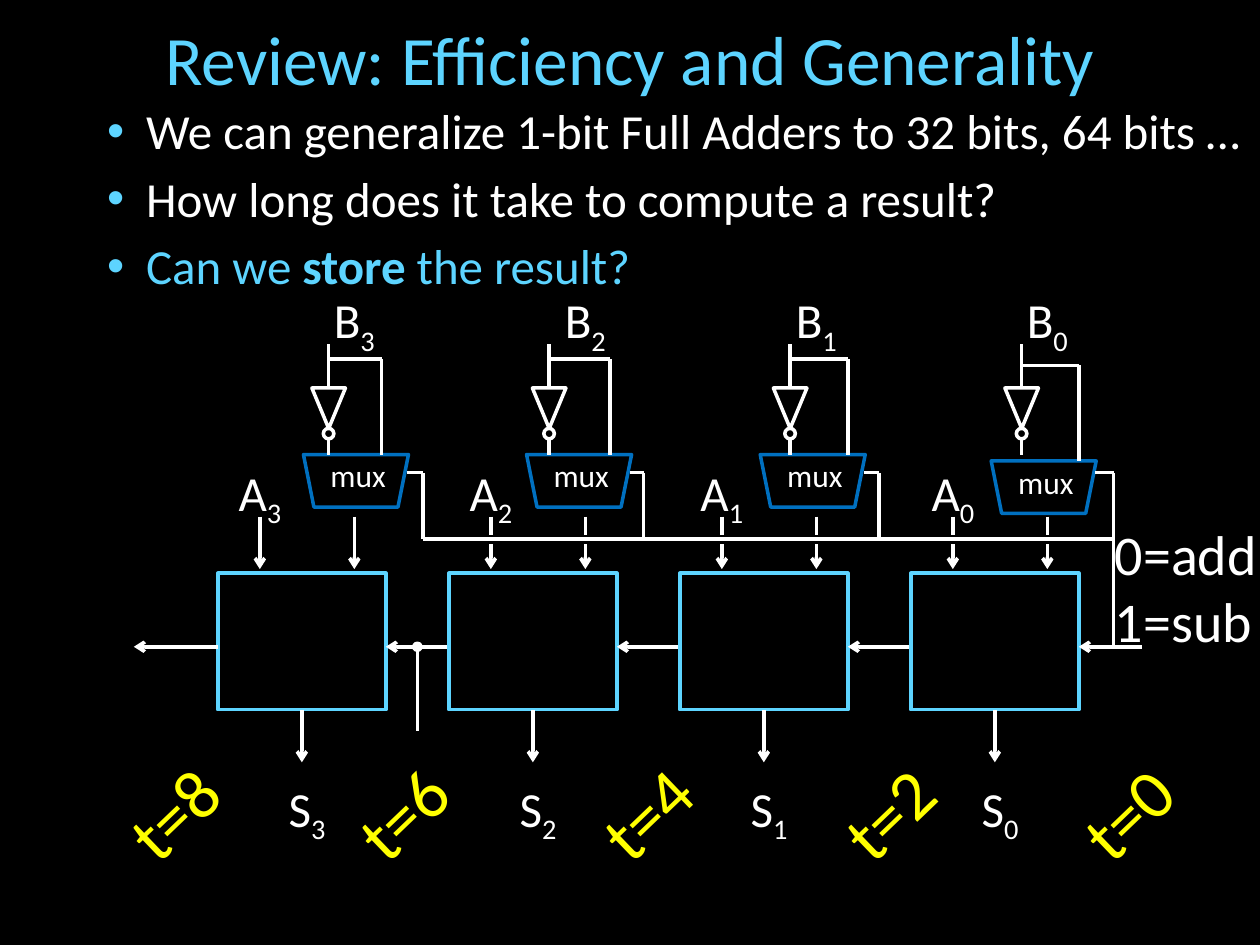
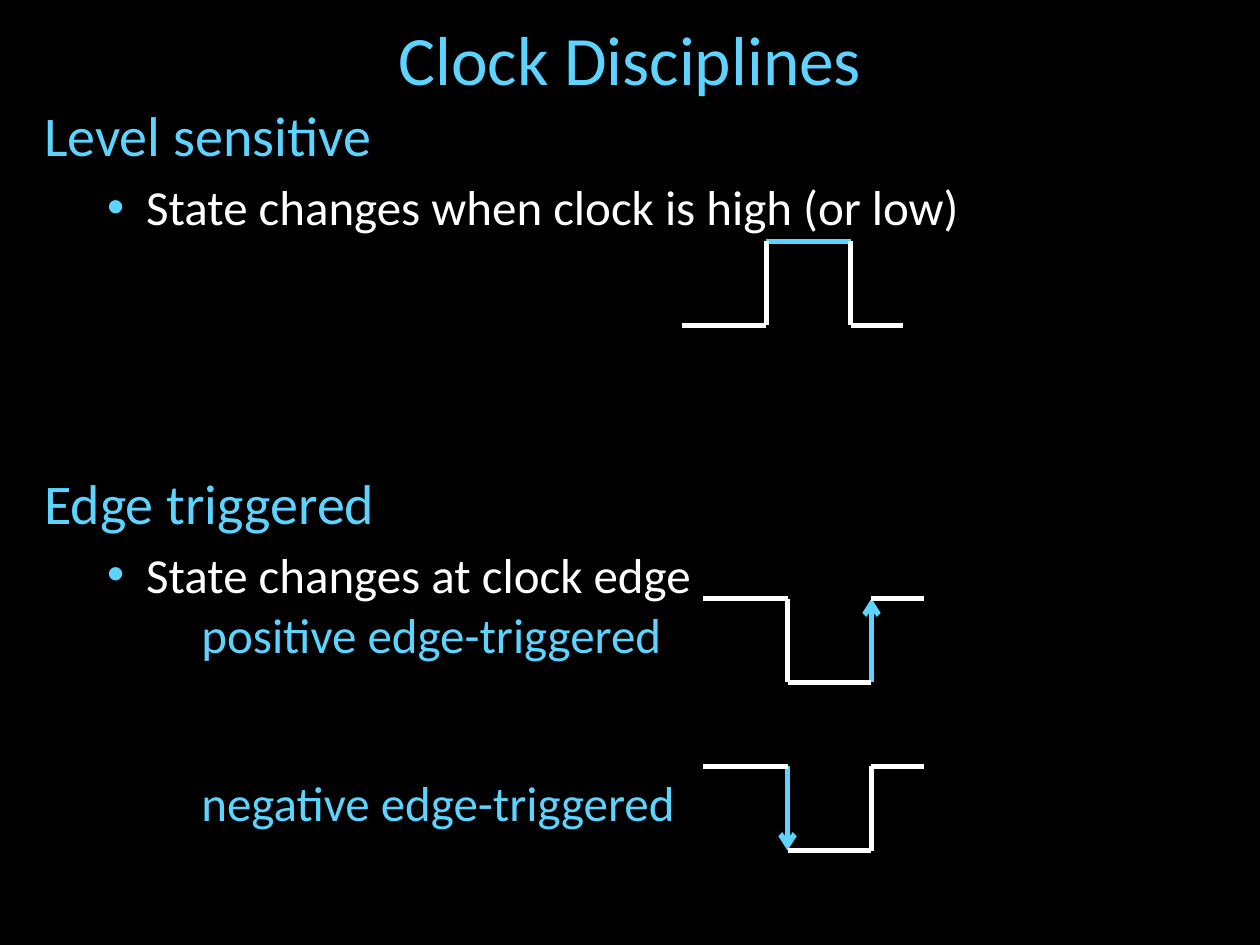
from collections import namedtuple

from lxml import etree
from pptx import Presentation
from pptx import util as u
from pptx.dml.color import RGBColor
from pptx.enum import shapes, text
from pptx.oxml import ns

SKY = RGBColor(0x5D, 0xD4, 0xFF)
BLUE = RGBColor(0x00, 0x70, 0xC0)
WHITE = RGBColor(0xFF, 0xFF, 0xFF)
YELLOW = RGBColor(0xFF, 0xFF, 0x00)
BLACK = RGBColor(0x00, 0x00, 0x00)
FONT = "Calibri"

WIDTH, HEIGHT = u.Inches(10), u.Inches(7.5)
COLUMNS = 120
CELL = WIDTH / COLUMNS

Box = namedtuple("Box", "left top width height")
BitLayout = namedtuple("BitLayout", "inverter bypass mux mux_top tap")

TITLE_BOX = Box(3, 2, 114, 7)
ADDER_ROW = Box(20.75, 54.6, 16, 13)
ADDER_PITCH = 22
BUS_RISE = 3.25
BIT_LAYOUTS = {
    3: BitLayout(10.55, 15.6, 8.15, -11.3, 19.55),
    2: BitLayout(9.55, 15.35, 7.4, -11.3, 18.55),
    1: BitLayout(10.5, 16, 7.65, -11.3, 18.95),
    0: BitLayout(10.55, 16, 7.65, -10.7, 19.3),
}


def cells(*counts):
    return [u.Emu(round(count * CELL)) for count in counts]


def add_child(parent, tag, **attributes):
    return etree.SubElement(parent, ns.qn(tag), attributes)


def write(paragraph, words, size=28, color=WHITE, bold=False, baseline=None):
    run = paragraph.add_run()
    run.text = words
    run.font.name = FONT
    run.font.size = u.Pt(size)
    run.font.bold = bold
    run.font.color.rgb = color
    if baseline:
        run.font._element.set("baseline", str(baseline * 1000))


def label(slide, box, *lines, subscript=None, align=text.PP_ALIGN.LEFT,
          spacing=None, wrap=True, turn=0, **style):
    caption = slide.shapes.add_textbox(*cells(*box))
    caption.rotation = turn
    frame = caption.text_frame
    frame.word_wrap = wrap
    frame.auto_size = text.MSO_AUTO_SIZE.SHAPE_TO_FIT_TEXT
    for index, words in enumerate(lines):
        paragraph = frame.add_paragraph() if index else frame.paragraphs[0]
        paragraph.alignment = align
        paragraph.line_spacing = spacing
        write(paragraph, words, **style)
        if subscript is not None:
            write(paragraph, str(subscript), baseline=-25, **style)


def centred(slide, box, words, **style):
    label(slide, box, words, align=text.PP_ALIGN.CENTER, spacing=1.16, **style)


def wire(slide, start, end, color=WHITE, weight=2, head=None, tail=None):
    line = slide.shapes.add_connector(
        shapes.MSO_CONNECTOR.STRAIGHT, *cells(*start, *end))
    line.line.color.rgb = color
    line.line.width = u.Pt(weight)
    outline = line.line._get_or_add_ln()
    for tag, kind in (("a:headEnd", head), ("a:tailEnd", tail)):
        if kind:
            add_child(outline, tag, type=kind)
    add_child(line._element.spPr, "a:effectLst")


def route(slide, *points, **style):
    for start, end in zip(points, points[1:]):
        wire(slide, start, end, **style)


def outlined(shape, color=WHITE):
    shape.shadow.inherit = False
    shape.fill.background()
    shape.line.color.rgb = color
    shape.line.width = u.Pt(2)
    return shape


def place(placeholder, box):
    (placeholder.left, placeholder.top,
     placeholder.width, placeholder.height) = cells(*box)
    placeholder.text_frame.auto_size = text.MSO_AUTO_SIZE.NONE
    return placeholder.text_frame


def titled_slide(deck, heading):
    slide = deck.slides.add_slide(deck.slide_layouts[1])
    frame = place(slide.shapes.title, TITLE_BOX)
    frame.vertical_anchor = text.MSO_ANCHOR.MIDDLE
    frame.paragraphs[0].alignment = text.PP_ALIGN.CENTER
    write(frame.paragraphs[0], heading, size=39.6, color=SKY)
    return slide


def body_paragraph(frame, first, before, level):
    paragraph = frame.paragraphs[0] if first else frame.add_paragraph()
    paragraph.level = level
    paragraph.space_before = u.Pt(0 if first else before)
    return paragraph


def add_heading(frame, words, first=False, before=6):
    paragraph = body_paragraph(frame, first, before, 0)
    properties = paragraph._p.get_or_add_pPr()
    properties.set("marL", "0")
    properties.set("indent", "0")
    add_child(properties, "a:buNone")
    write(paragraph, words, size=32, color=SKY)


def add_bullet(frame, words, first=False, color=WHITE, strong=""):
    paragraph = body_paragraph(frame, first, 5, 1)
    properties = paragraph._p.get_or_add_pPr()
    properties.set("marL", str(u.Inches(0.81)))
    properties.set("indent", str(u.Inches(-0.31)))
    add_child(add_child(properties, "a:buClr"), "a:srgbClr", val=str(SKY))
    add_child(properties, "a:buFont", typeface="Arial")
    add_child(properties, "a:buChar", char="•")
    before, found, after = words.partition(strong) if strong else (words, "", "")
    for part in filter(None, (before, found, after)):
        write(paragraph, part, color=color, bold=part == strong)


def full_adder(slide, box, bit):
    left, top, width, height = box
    outlined(slide.shapes.add_shape(
        shapes.MSO_SHAPE.RECTANGLE, *cells(*box)), SKY)
    carry, right, middle = top + 7, left + width, left + width / 2
    wire(slide, (right + 6, carry), (right, carry), tail="arrow")
    wire(slide, (middle, top + height), (middle, top + height + 5), tail="arrow")
    for operand in (4, 13):
        wire(slide, (left + operand, top - 5.4), (left + operand, top - 0.4),
             tail="arrow")
    centred(slide, Box(left + 3, top + 17.95, 11, 7.8), "S", subscript=bit)
    centred(slide, Box(left, top - 12.2, 8, 7.3), "A", subscript=bit)
    centred(slide, Box(left + 7, top - 28.6, 12, 7.3), "B", subscript=bit)


def multiplexer(slide, box):
    left, top, width, height = box
    corners = [(left + width, top), (left + width - 1, top + height),
               (left + 1, top + height), (left, top)]
    outline = [tuple(cells(*corner)) for corner in corners]
    builder = slide.shapes.build_freeform(*outline[0])
    builder.add_line_segments(outline[1:], close=True)
    outlined(builder.convert_to_shape(), BLUE)
    centred(slide, Box(left - 1.1, top - 1, 12.6, 5.1), "mux", size=18)


def operand_selector(slide, box, layout):
    left, top = box.left, box.top
    mux_top = top + layout.mux_top
    multiplexer(slide, Box(left + layout.mux, mux_top, 10, 5))
    stem, bypass, fork = left + layout.inverter, left + layout.bypass, mux_top - 9.1
    inverter = outlined(slide.shapes.add_shape(
        shapes.MSO_SHAPE.ISOSCELES_TRIANGLE,
        *cells(stem - 1.6, top - 17.65, 3.2, 3.85)))
    inverter.rotation = 180
    outlined(slide.shapes.add_shape(
        shapes.MSO_SHAPE.OVAL, *cells(stem - 0.5, top - 13.8, 1, 1)))
    wire(slide, (stem, top - 17.65), (stem, top - 21.85))
    wire(slide, (stem, top - 11.3), (stem, top - 12.8))
    route(slide, (stem, fork), (bypass, fork), (bypass, mux_top))


def select_bus(slide, adders):
    bus = ADDER_ROW.top - BUS_RISE
    tap_top = ADDER_ROW.top - 9.6
    for bit, box in adders.items():
        if bit < 3:
            for operand in (4, 13):
                crossing = box.left + operand
                wire(slide, (crossing - 0.9, bus), (crossing + 0.9, bus),
                     color=BLACK, weight=5)
    first, last = [adders[bit].left + BIT_LAYOUTS[bit].tap for bit in (3, 0)]
    route(slide, (last, ADDER_ROW.top + 7), (last, bus), (first, bus))
    for bit, box in adders.items():
        tap = box.left + BIT_LAYOUTS[bit].tap
        mux_right = box.left + BIT_LAYOUTS[bit].mux + 9.9
        route(slide, (tap, bus), (tap, tap_top), (mux_right, tap_top))


def ripple_adder(slide):
    adders = {bit: ADDER_ROW._replace(left=ADDER_ROW.left + ADDER_PITCH * (3 - bit))
              for bit in BIT_LAYOUTS}
    for bit, box in adders.items():
        full_adder(slide, box, bit)
    carry = ADDER_ROW.top + 7
    wire(slide, (ADDER_ROW.left, carry), (ADDER_ROW.left - 8, carry), tail="arrow")
    overflow = ADDER_ROW.left + 19
    wire(slide, (overflow, carry), (overflow, carry + 8), head="oval")
    for bit, box in adders.items():
        operand_selector(slide, box, BIT_LAYOUTS[bit])
    label(slide, Box(105, 48.85, 16, 14.2), "0=add", "1=sub", size=32, wrap=False)
    select_bus(slide, adders)
    for left, delay in zip((10.8, 32.65, 55.9, 78.95, 101.65), (8, 6, 4, 2, 0)):
        label(slide, Box(left, 72.75, 11.4, 9.25), f"t={delay}", size=40,
              color=YELLOW, wrap=False, turn=316.1)


def waveform(slide, box, levels, highlight, tail=None):
    left, top, width, height = box
    edges = [left + width * share / 21 for share in (0, 8, 16, 21)]
    heights = [top + height * (1 - level) for level in levels]
    points = [(x, y) for y, *span in zip(heights, edges, edges[1:]) for x in span]
    segments = list(zip(points, points[1:]))
    wire(slide, *segments.pop(highlight), color=SKY, weight=3, tail=tail)
    for start, end in segments:
        wire(slide, start, end, weight=3)


def edge_example(slide, box, words, highlight):
    label(slide, Box(box.left, box.top, 52, 6.8), words, color=SKY)
    waveform(slide, Box(box.left + 49, box.top, 21, box.height), (1, 0, 1),
             highlight, tail="arrow")


def efficiency_slide(deck):
    slide = titled_slide(deck, "Review: Efficiency and Generality")
    frame = place(slide.placeholders[1], Box(3, 9, 117, 74))
    add_bullet(frame, "We can generalize 1-bit Full Adders to 32 bits, 64 bits …",
               first=True)
    add_bullet(frame, "How long does it take to compute a result?")
    add_bullet(frame, "Can we store the result?", color=SKY, strong="store")
    ripple_adder(slide)


def clock_slide(deck):
    slide = titled_slide(deck, "Clock Disciplines")
    frame = place(slide.placeholders[1], Box(3, 9, 114, 48))
    add_heading(frame, "Level sensitive", first=True)
    add_bullet(frame, "State changes when clock is high (or low)")
    add_heading(frame, "Edge triggered", before=133)
    add_bullet(frame, "State changes at clock edge")
    waveform(slide, Box(65, 23, 21, 8), (0, 1, 0), highlight=2)
    edge_example(slide, Box(18, 57, 70, 8), "positive edge-triggered", highlight=3)
    edge_example(slide, Box(18, 73, 70, 8), "negative edge-triggered", highlight=1)


def main():
    deck = Presentation()
    deck.slide_width, deck.slide_height = WIDTH, HEIGHT
    backdrop = deck.slide_master.background.fill
    backdrop.solid()
    backdrop.fore_color.rgb = BLACK
    efficiency_slide(deck)
    clock_slide(deck)
    deck.save("out.pptx")


if __name__ == "__main__":
    main()
